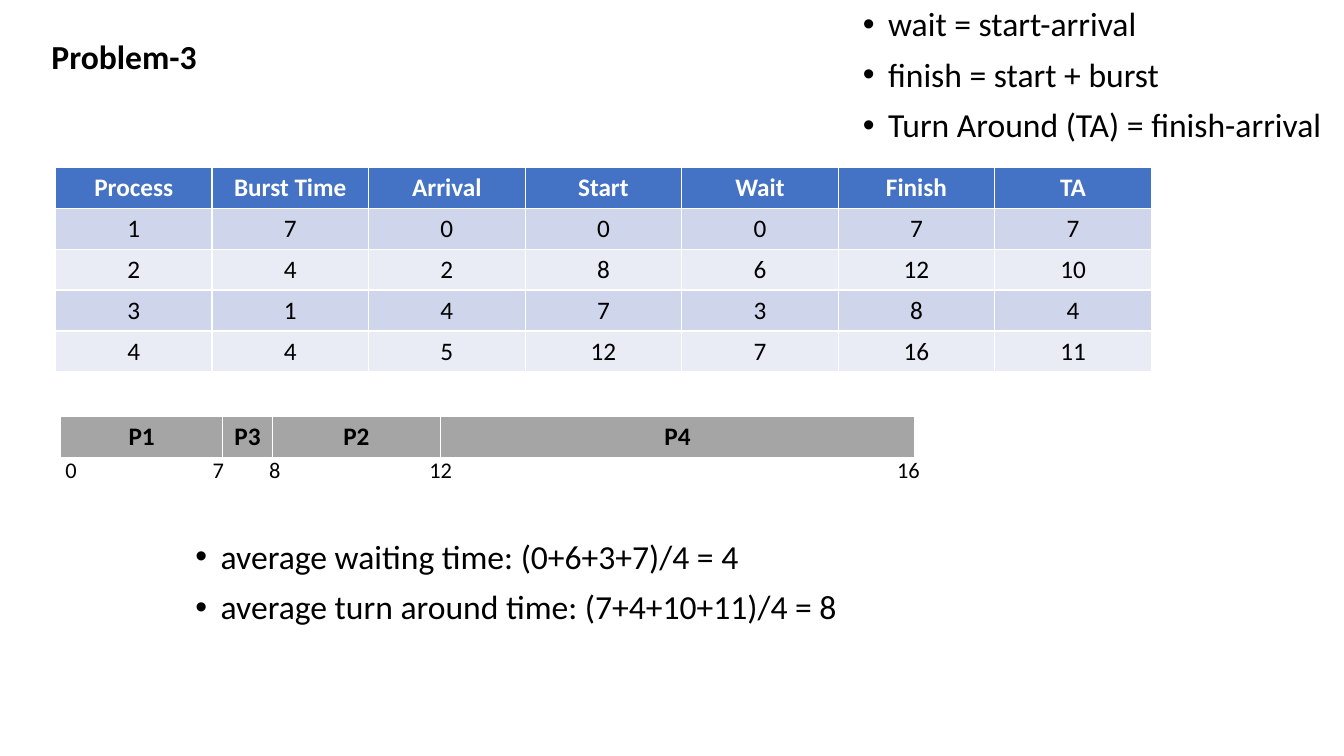
from lxml import etree
from pptx import Presentation
from pptx.dml.color import RGBColor
from pptx.enum import text
from pptx.oxml import ns
from pptx.util import Inches, Pt

BLACK = RGBColor(0x00, 0x00, 0x00)
WHITE = RGBColor(0xFF, 0xFF, 0xFF)
HEADER_BLUE = RGBColor(0x44, 0x72, 0xC4)
BAND_DARK = RGBColor(0xCF, 0xD5, 0xEA)
BAND_LIGHT = RGBColor(0xE9, 0xEB, 0xF5)
TIMELINE_GREY = RGBColor(0xA5, 0xA5, 0xA5)


def format_text(paragraph, size, color=BLACK, bold=False):
    """Give every run of a paragraph the slide's font, a size and a colour."""
    for run in paragraph.runs:
        run.font.name = "Calibri"
        run.font.size = Pt(size)
        run.font.bold = bold
        run.font.color.rgb = color


def fill_cell(cell, label, fill, color=BLACK, bold=False):
    """Write a centred label into a table cell and colour the cell."""
    cell.fill.solid()
    cell.fill.fore_color.rgb = fill
    paragraph = cell.text_frame.paragraphs[0]
    paragraph.text = label
    paragraph.alignment = text.PP_ALIGN.CENTER
    format_text(paragraph, 18, color, bold)


presentation = Presentation()
presentation.slide_width = Inches(13.33)
presentation.slide_height = Inches(7.5)
slide = presentation.slides.add_slide(presentation.slide_layouts[5])

# Title
title = slide.shapes.title
title.left, title.top = Inches(0.41), Inches(0.31)
title.width, title.height = Inches(3.72), Inches(0.5)
title.text_frame.text = "Problem-3"
title.text_frame.vertical_anchor = text.MSO_ANCHOR.TOP
title.text_frame.paragraphs[0].alignment = text.PP_ALIGN.LEFT
format_text(title.text_frame.paragraphs[0], 24, bold=True)

# Process table
process_rows = [
    ["Process", "Burst Time", "Arrival", "Start", "Wait", "Finish", "TA"],
    ["1", "7", "0", "0", "0", "7", "7"],
    ["2", "4", "2", "8", "6", "12", "10"],
    ["3", "1", "4", "7", "3", "8", "4"],
    ["4", "4", "5", "12", "7", "16", "11"],
]
process_table = slide.shapes.add_table(
    len(process_rows), len(process_rows[0]),
    Inches(0.55), Inches(1.66), Inches(10.87), Inches(2.03)).table
for row_index, values in enumerate(process_rows):
    for column_index, value in enumerate(values):
        cell = process_table.cell(row_index, column_index)
        if row_index == 0:
            fill_cell(cell, value, HEADER_BLUE, WHITE, bold=True)
        else:
            fill_cell(cell, value, BAND_DARK if row_index % 2 else BAND_LIGHT)

# Timeline of the schedule
timeline = [("P1", 1.61), ("P3", 0.49), ("P2", 1.67), ("P4", 4.7)]
timeline_table = slide.shapes.add_table(
    1, len(timeline), Inches(0.6), Inches(4.13), Inches(8.47), Inches(0.38)).table
for column_index, (process, width) in enumerate(timeline):
    timeline_table.columns[column_index].width = Inches(width)
    fill_cell(timeline_table.cell(0, column_index), process, TIMELINE_GREY, bold=True)

# Times below the timeline, placed by tab stops
tick_stops = {"7": 1.46, "8": 2.02, "12": 3.61, "16": 8.25}
tick_box = slide.shapes.add_textbox(
    Inches(0.55), Inches(4.53), Inches(9.45), Inches(0.57))
tick_box.text_frame.word_wrap = True
ticks = tick_box.text_frame.paragraphs[0]
ticks.text = "\t".join(["0", *tick_stops])
ticks.line_spacing = 0.8
ticks.space_before = Pt(10)
format_text(ticks, 16)
tab_list = etree.SubElement(ticks._p.get_or_add_pPr(), ns.qn("a:tabLst"))
for stop in tick_stops.values():
    etree.SubElement(tab_list, ns.qn("a:tab"), pos=str(Inches(stop)), algn="l")

# Bulleted formulas and averages
bullet_lists = [
    ((8.46, 0.03, 4.75, 1.74),
     ["wait = start-arrival",
      "finish = start + burst",
      "Turn Around (TA) = finish-arrival"]),
    ((1.84, 5.31, 8.35, 0.98),
     ["average waiting time: (0+6+3+7)/4 = 4",
      "average turn around time: (7+4+10+11)/4 = 8"]),
]
for position, items in bullet_lists:
    bullet_box = slide.shapes.add_textbox(*[Inches(length) for length in position])
    bullet_box.text_frame.word_wrap = True
    bullet_box.text_frame.text = "\n".join(items)
    for paragraph in bullet_box.text_frame.paragraphs:
        paragraph.line_spacing = 0.9
        paragraph.space_before = Pt(10)
        format_text(paragraph, 24)
        properties = paragraph._p.get_or_add_pPr()
        properties.set("marL", str(Inches(0.25)))
        properties.set("indent", str(-Inches(0.25)))
        etree.SubElement(properties, ns.qn("a:buFont"), typeface="Arial")
        etree.SubElement(properties, ns.qn("a:buChar"), char="•")

presentation.save("out.pptx")
